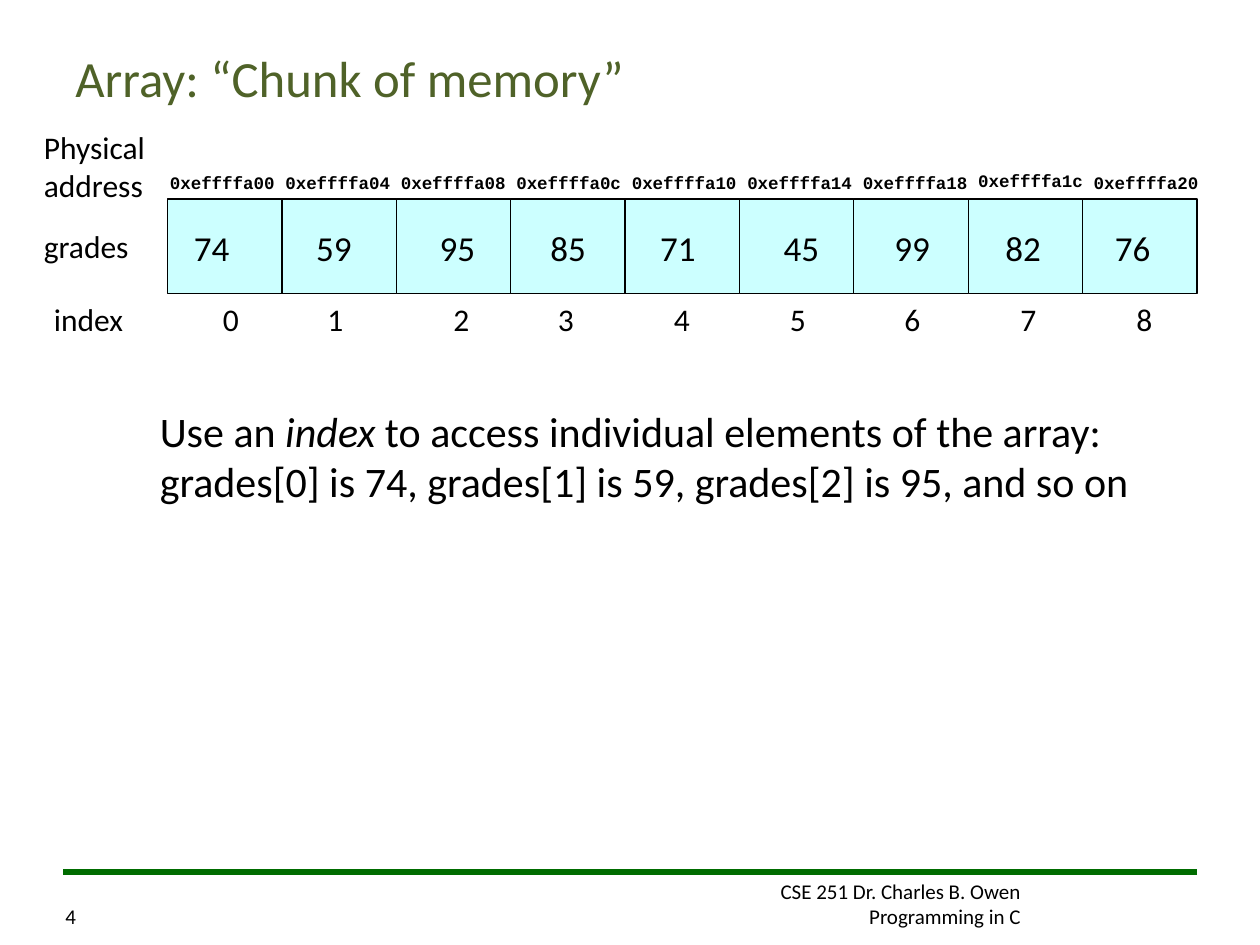
from lxml.etree import SubElement
from pptx import Presentation
from pptx.dml.color import RGBColor
from pptx.enum.shapes import MSO_CONNECTOR, MSO_SHAPE
from pptx.enum.text import MSO_ANCHOR, PP_ALIGN
from pptx.oxml.ns import qn
from pptx.util import Inches, Pt

BLACK = RGBColor(0x00, 0x00, 0x00)
OLIVE = RGBColor(0x4F, 0x62, 0x28)
GREEN = RGBColor(0x00, 0x6C, 0x00)
PALE_CYAN = RGBColor(0xCC, 0xFF, 0xFF)

GRADES = [74, 59, 95, 85, 71, 45, 99, 82, 76]
FIRST_ADDRESS = 0xEFFFFA00
INT_BYTES = 4

# Offsets from the left edge of the cell row
GRADE_OFFSETS = [0.11, 0.99, 1.97, 2.85, 3.72, 4.70, 5.58, 6.46, 7.33]
INDEX_OFFSETS = [0.34, 1.17, 2.17, 3.00, 3.92, 4.84, 5.75, 6.67, 7.59]
ADDRESS_OFFSET, ADDRESS_PITCH = -0.08, 0.9165


def add_text(slide, box, lines, size, color=BLACK, align=PP_ALIGN.LEFT,
             anchor=MSO_ANCHOR.TOP, **font_format):
    """Each line is a paragraph, given as a string or a list of (text, italic)."""
    frame = slide.shapes.add_textbox(*map(Inches, box)).text_frame
    for name, value in {"word_wrap": True, "vertical_anchor": anchor}.items():
        setattr(frame, name, value)
    values = {"name": "Calibri", "size": Pt(size), **font_format}
    for number, line in enumerate(lines):
        paragraph = frame.add_paragraph() if number else frame.paragraphs[0]
        paragraph.alignment = align
        for text, italic in [(line, False)] if isinstance(line, str) else line:
            if text == "\n":
                paragraph.add_line_break()
                continue
            run = paragraph.add_run()
            run.text = text
            for name, value in {**values, "italic": italic}.items():
                setattr(run.font, name, value)
            run.font.color.rgb = color


def add_title(slide, box):
    add_text(slide, box, ["Array: “Chunk of memory”"], 29, OLIVE,
             anchor=MSO_ANCHOR.MIDDLE)


def add_row_labels(slide, left, top):
    add_text(slide, (left, top, 1.17, 0.7), ["Physical address"], 18)
    add_text(slide, (left, top + 0.78, 1.17, 0.4), ["grades"], 18)
    add_text(slide, (left + 0.08, top + 1.36, 0.92, 0.4), ["index"], 18)


def add_memory_row(slide, box):
    left, top, width, height = box
    cell_width = width / len(GRADES)

    # Cells
    for index in range(len(GRADES)):
        cell = slide.shapes.add_shape(
            MSO_SHAPE.RECTANGLE, Inches(left + index * cell_width), Inches(top),
            Inches(cell_width), Inches(height))
        cell.shadow.inherit = False
        cell.fill.solid()
        cell.fill.fore_color.rgb = PALE_CYAN
        cell.line.color.rgb = BLACK
        cell.line.width = Pt(0.75)

    # Grades, with the address above and the index below
    for index, grade in enumerate(GRADES):
        address = f"{FIRST_ADDRESS + INT_BYTES * index:#x}"
        address_left = left + ADDRESS_OFFSET + index * ADDRESS_PITCH
        address_top = top - (0.28 if address.endswith("1c") else 0.26)
        add_text(slide, (left + GRADE_OFFSETS[index], top + 0.17, 0.66, 0.44),
                 [str(grade)], 20,
                 align=PP_ALIGN.CENTER if index else PP_ALIGN.LEFT)
        add_text(slide, (address_left, address_top, 1.08, 0.27), [address], 10,
                 name="Courier New", bold=True)
        add_text(slide, (left + INDEX_OFFSETS[index], top + height, 0.33, 0.4),
                 [str(index)], 18)


def add_explanation(slide, box):
    sentence = [
        ("Use an ", False),
        ("index", True),
        (" to access individual elements of the array:", False),
        ("\n", False),
        ("grades[0] is 74, grades[1] is 59, grades[2] is 95, and so on", False),
    ]
    add_text(slide, box, [sentence], 24)


def add_footer(slide, box):
    left, top, width, height = box

    # Rule across the slide
    rule = slide.shapes.add_connector(
        MSO_CONNECTOR.STRAIGHT, Inches(left + width), Inches(top),
        Inches(left), Inches(top))
    rule.line.color.rgb = GREEN
    rule.line.width = Pt(3)
    SubElement(rule._element.spPr, qn("a:effectLst"))

    # Course and slide number
    add_text(slide, (left + 4.33, top, 3.37, height),
             ["CSE 251 Dr. Charles B. Owen", "Programming in C"], 12,
             align=PP_ALIGN.RIGHT)
    add_text(slide, (left - 0.08, top + 0.2, 0.4, 0.3), ["4"], 12)


def main():
    presentation = Presentation()
    presentation.slide_width = Inches(10)
    presentation.slide_height = Inches(7.5)
    slide = presentation.slides.add_slide(presentation.slide_layouts[6])
    add_footer(slide, (0.5, 6.92, 9, 0.5))
    add_title(slide, (0.5, 0.3, 9, 0.62))
    add_row_labels(slide, 0.25, 0.97)
    add_memory_row(slide, (1.33, 1.58, 8.17, 0.75))
    add_explanation(slide, (1.17, 3.17, 8, 0.9))
    presentation.save("out.pptx")


if __name__ == "__main__":
    main()
